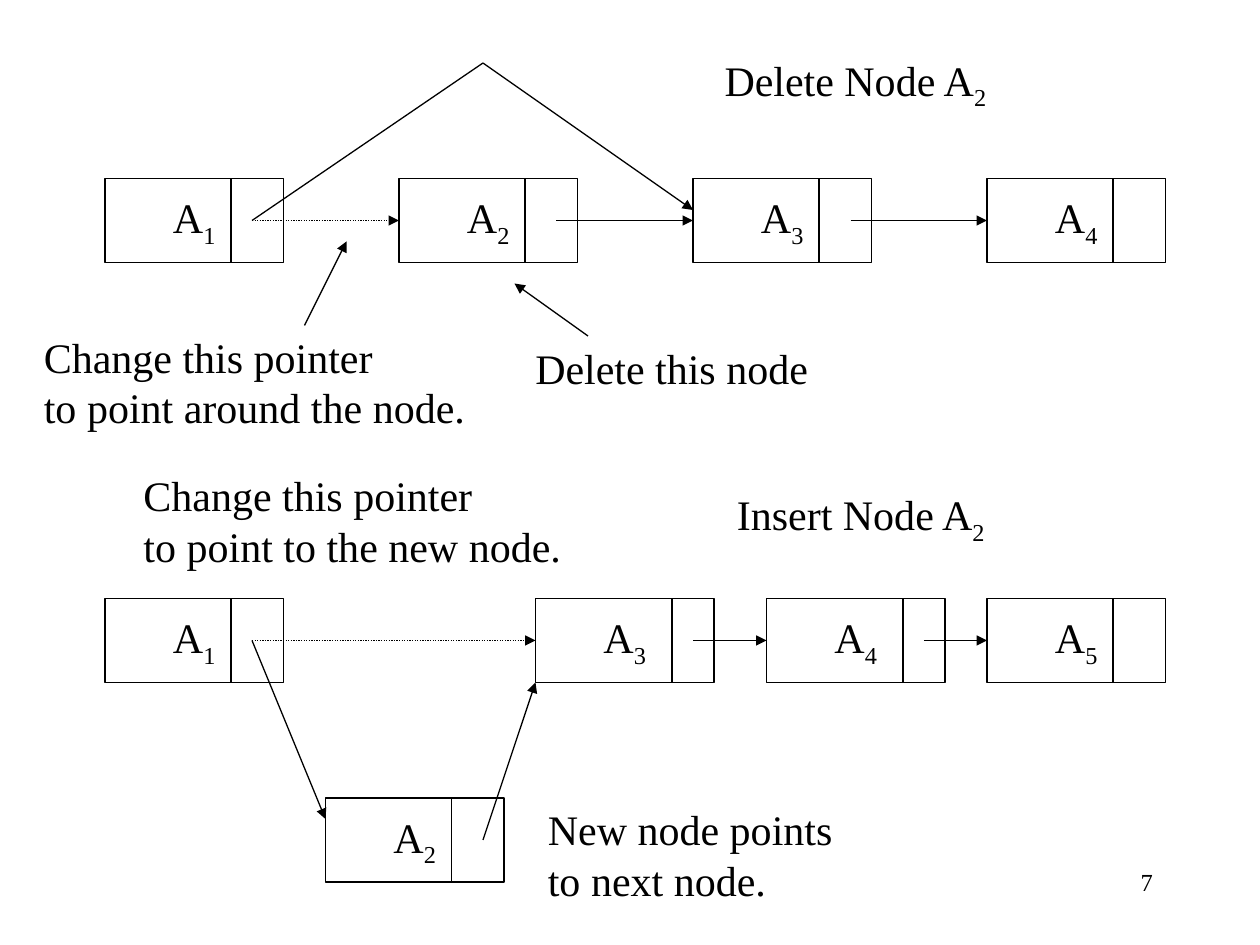
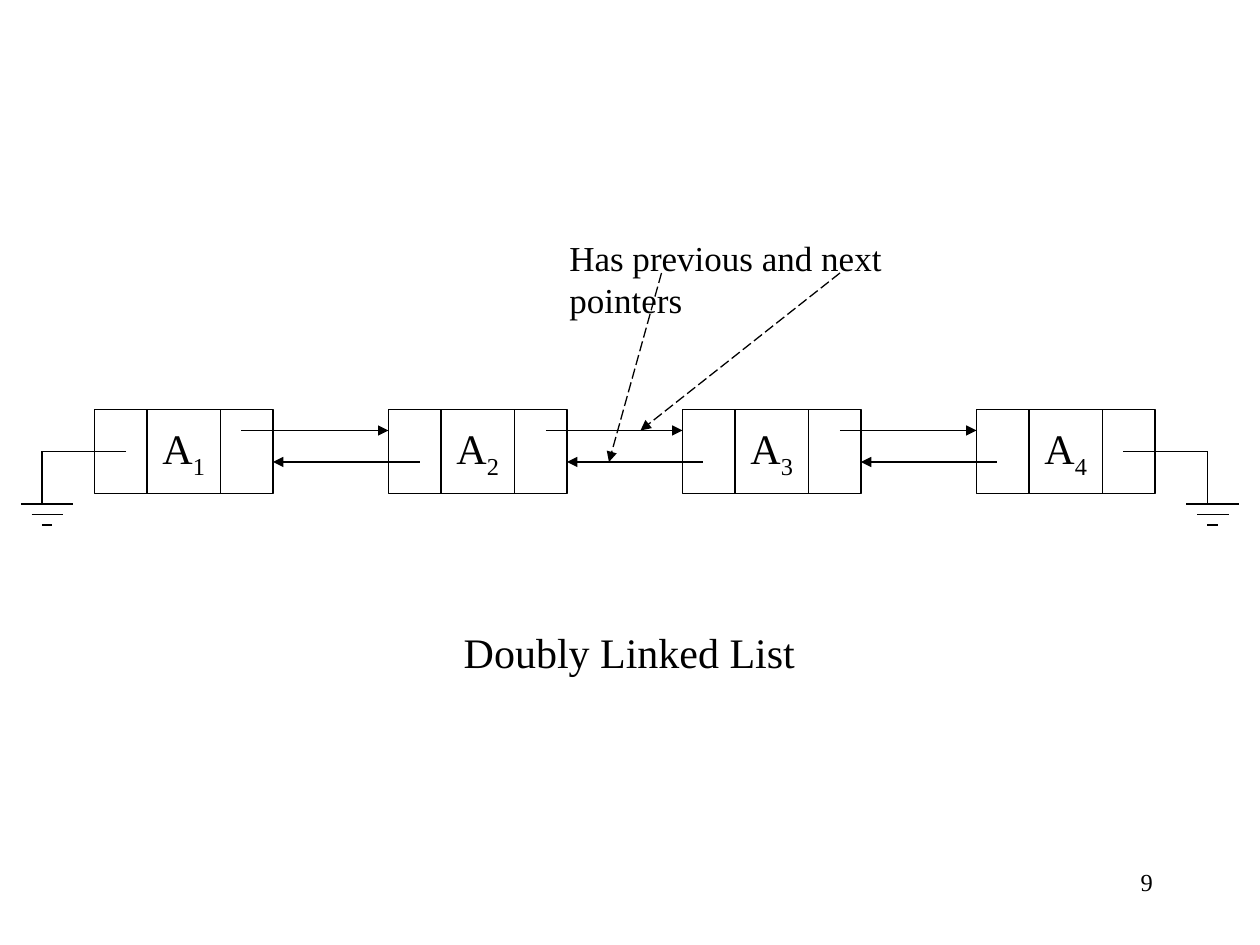
import pptx
import pptx.util
import pptx.dml.color
import pptx.enum.dml
import pptx.enum.shapes
import pptx.enum.text
import pptx.oxml.ns
import lxml.etree

Inches = pptx.util.Inches
ALIGN = pptx.enum.text.PP_ALIGN
ANCHOR = pptx.enum.text.MSO_ANCHOR
AUTO_SIZE = pptx.enum.text.MSO_AUTO_SIZE
DASH = pptx.enum.dml.MSO_LINE

# Shared look; diagrams are laid out on a grid of 12 steps to the inch
INK, PAPER = "000000", "FFFFFF"
FONT = "Times New Roman"
STEPS = 12
NODE_WIDTH, NODE_HEIGHT = 17, 8
TITLE_ONLY = 5

# Content: an underscore starts a subscript
# Text: lines, (left, top, width, height) in inches
DELETE_TITLE = (["Delete Node A_2"], (5.65, 0.38, 2.31, 0.5))
DOUBLY_TITLE = (["Doubly Linked List"], (3.58, 4.92, 2.83, 0.5))
EDIT_NOTES = [
    (["Change this pointer", "to point around the node."], (0.25, 2.58, 3.54, 0.9)),
    (["Delete this node"], (4.15, 2.67, 2.36, 0.5)),
    (["Insert Node A_2"], (5.75, 3.83, 2.2, 0.5)),
    (["Change this pointer", "to point to the new node."], (1.04, 3.68, 3.51, 0.9)),
    (["New node points", "to next node."], (4.25, 6.33, 2.46, 0.9)),
]
POINTER_NOTE = (["Has previous and next pointers"], (4.42, 1.83, 3.64, 0.43))

# Nodes: label, left, divider offset, in grid steps
DELETE_ROW = 17
DELETE_NODES = [(f"A_{i + 1}", 10 + 28 * i, 12) for i in range(4)]
INSERT_ROW = 57
INSERT_NODES = [("A_1", 10, 12), ("A_3", 51, 13), ("A_4", 73, 13), ("A_5", 94, 12)]
NEW_ROW = 76
NEW_NODE = ("A_2", 31, 12)
DOUBLY_ROW = 39
DOUBLY_LEFTS = [9 + 28 * i for i in range(4)]

# Arrows: start and end, in grid steps
EDIT_ARROWS = [
    ((46, 6), (66, 20)),   # around the deleted node
    ((29, 31), (33, 23)),  # note to pointer
    ((56, 32), (49, 27)),  # note to node
    ((46, 80), (51, 65)),  # new node to next node
    ((24, 61), (31, 78)),  # first node to new node
]
POINTER_CALLOUTS = [((63, 26), (58, 44)), ((80, 26), (61, 41))]


def color(hex_value):
    return pptx.dml.color.RGBColor.from_string(hex_value)


def apply(target, values):
    for name, value in values.items():
        setattr(target, name, value)


def grid(*values):
    return [Inches(value / STEPS) for value in values]


def write(shape, lines, size=24, align=ALIGN.LEFT, **frame_format):
    frame = shape.text_frame
    apply(frame, {"word_wrap": False, "vertical_anchor": ANCHOR.TOP, **frame_format})
    for index, line in enumerate(lines):
        paragraph = frame.paragraphs[0] if index == 0 else frame.add_paragraph()
        paragraph.alignment = align
        for part, text in enumerate(line.split("_")):
            run = paragraph.add_run()
            run.text = text
            apply(run.font, {"name": FONT, "size": pptx.util.Pt(size)})
            run.font.color.rgb = color(INK)
            if part:
                run.font._element.set("baseline", "-25000")


def add_note(slide, lines, place, **text_format):
    box = slide.shapes.add_textbox(*map(Inches, place))
    write(box, lines, **{"auto_size": AUTO_SIZE.SHAPE_TO_FIT_TEXT, **text_format})


def add_line(slide, start, end, arrow=None, dash=None):
    connector = slide.shapes.add_connector(
        pptx.enum.shapes.MSO_CONNECTOR.STRAIGHT, *grid(*start, *end))
    connector.line.color.rgb = color(INK)
    connector.line.width = pptx.util.Pt(0.75)
    if dash:
        connector.line.dash_style = dash
    qn = pptx.oxml.ns.qn
    properties = connector._element.spPr
    if arrow:
        outline = properties.find(qn("a:ln"))
        lxml.etree.SubElement(outline, qn(f"a:{arrow}")).set("type", "triangle")
    lxml.etree.SubElement(properties, qn("a:effectLst"))


def add_node(slide, top, label, left, *dividers):
    box = slide.shapes.add_shape(
        pptx.enum.shapes.MSO_SHAPE.RECTANGLE, *grid(left, top, NODE_WIDTH, NODE_HEIGHT))
    box.shadow.inherit = False
    box.fill.background()
    box.line.color.rgb = color(INK)
    box.line.width = pptx.util.Pt(0.75)
    write(box, [label], align=ALIGN.CENTER, vertical_anchor=ANCHOR.MIDDLE)
    for offset in dividers:
        add_line(slide, (left + offset, top), (left + offset, top + NODE_HEIGHT))


def add_next_pointers(slide, lefts, y, first_dash=None):
    for index, (left, following) in enumerate(zip(lefts, lefts[1:])):
        start = left + (15 if index else 14)
        add_line(slide, (start, y), (following, y), "tailEnd",
                 None if index else first_dash)


def add_ground(slide, inner, stem, bars):
    """Wire from a node end, with three shrinking bars below it."""
    add_line(slide, (inner, 43), (stem, 43))
    add_line(slide, (stem, 43), (stem, 48))
    for step in range(3):
        add_line(slide, (bars + step, 48 + step), (bars + 5 - step, 48 + step))


def new_slide(presentation, number, title):
    slide = presentation.slides.add_slide(presentation.slide_layouts[TITLE_ONLY])
    slide.background.fill.solid()
    slide.background.fill.fore_color.rgb = color(PAPER)
    lines, place = title
    shape = slide.shapes.title
    apply(shape, dict(zip(("left", "top", "width", "height"), map(Inches, place))))
    write(shape, lines, auto_size=AUTO_SIZE.SHAPE_TO_FIT_TEXT)
    add_note(slide, [number], (7.58, 6.83, 1.67, 0.5), size=14, align=ALIGN.RIGHT,
             word_wrap=True, auto_size=AUTO_SIZE.NONE)
    return slide


presentation = pptx.Presentation()
apply(presentation, {"slide_width": Inches(10), "slide_height": Inches(7.5)})

# Deleting and inserting a node
slide = new_slide(presentation, "7", DELETE_TITLE)
for top, nodes in ((DELETE_ROW, DELETE_NODES), (INSERT_ROW, INSERT_NODES)):
    for node in nodes:
        add_node(slide, top, *node)
    add_next_pointers(slide, [left for _, left, _ in nodes], top + 4, DASH.ROUND_DOT)
add_node(slide, NEW_ROW, *NEW_NODE)
add_line(slide, (24, 21), (46, 6))
for start, end in EDIT_ARROWS:
    add_line(slide, start, end, "tailEnd")
# A narrow right margin and fixed size keep each note line whole
for lines, place in EDIT_NOTES:
    add_note(slide, lines, place, word_wrap=True, margin_right=Inches(0.02),
             auto_size=AUTO_SIZE.NONE)

# Doubly linked list
slide = new_slide(presentation, "9", DOUBLY_TITLE)
for index, left in enumerate(DOUBLY_LEFTS):
    add_node(slide, DOUBLY_ROW, f"A_{index + 1}", left, 5, 12)
add_next_pointers(slide, DOUBLY_LEFTS, DOUBLY_ROW + 2)
for index, (left, following) in enumerate(zip(DOUBLY_LEFTS, DOUBLY_LEFTS[1:])):
    add_line(slide, (left + NODE_WIDTH, DOUBLY_ROW + 5),
             (following + (2 if index else 3), DOUBLY_ROW + 5), "headEnd")
add_ground(slide, 107, 115, 113)
add_ground(slide, 12, 4, 2)
add_note(slide, *POINTER_NOTE, size=20, word_wrap=True, margin_right=Inches(0.2),
         auto_size=AUTO_SIZE.NONE)
for start, end in POINTER_CALLOUTS:
    add_line(slide, start, end, "tailEnd", DASH.LONG_DASH)

presentation.save("out.pptx")
